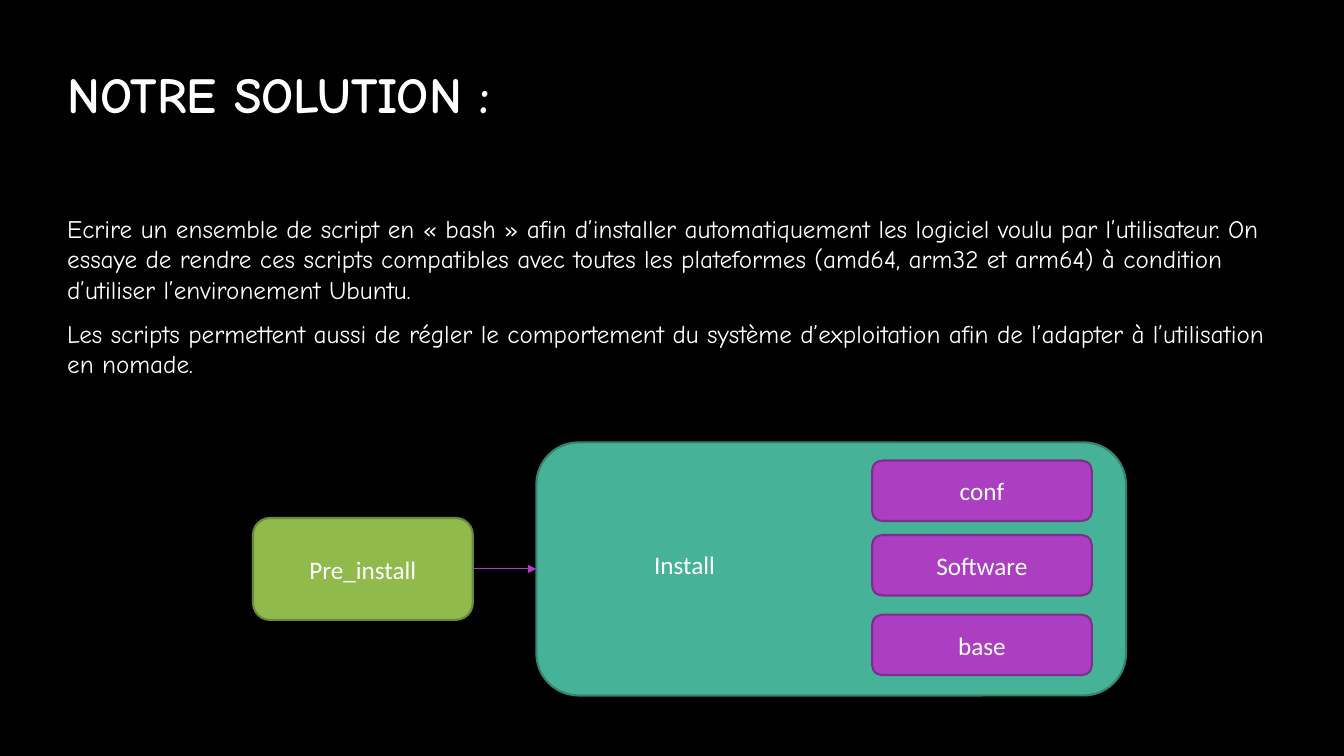
from lxml import etree
from pptx import Presentation
from pptx.dml.color import RGBColor
from pptx.enum.shapes import MSO_CONNECTOR, MSO_SHAPE
from pptx.enum.text import MSO_ANCHOR, MSO_AUTO_SIZE, PP_ALIGN
from pptx.oxml.ns import qn
from pptx.util import Pt

ROUNDED = MSO_SHAPE.ROUNDED_RECTANGLE
ELBOW = MSO_CONNECTOR.ELBOW
TOP, MIDDLE = MSO_ANCHOR.TOP, MSO_ANCHOR.MIDDLE
LEFT, CENTER = PP_ALIGN.LEFT, PP_ALIGN.CENTER
NO_AUTOFIT = MSO_AUTO_SIZE.NONE

BLACK, WHITE, PURPLE = "000000", "FFFFFF", "AC3EC1"
GREEN_BOX = ("90BA4C", "6B8A38")
TEAL_BOX = ("46B298", "348470")
PURPLE_BOX = (PURPLE, "7F2E8F")
HEADING = {"name": "Comic Neue", "size": Pt(36), "bold": True}
BODY = {"name": "Comic Neue", "size": Pt(18)}
LABEL = {"name": "Calibri", "size": Pt(18)}
NO_MARGINS = dict.fromkeys(
    ("margin_left", "margin_top", "margin_right", "margin_bottom"), 0)

TITLE = "NOTRE SOLUTION :"
EXPLANATION = [
    "Ecrire un ensemble de script en « bash » afin d’installer automatiquement "
    "les logiciel voulu par l’utilisateur. On essaye de rendre ces scripts "
    "compatibles avec toutes les plateformes (amd64, arm32 et arm64) à condition "
    "d’utiliser l’environement Ubuntu.",
    "Les scripts permettent aussi de régler le comportement du système "
    "d’exploitation afin de l’adapter à l’utilisation en nomade.",
]
# Each install step with its distance from the top of the install box
INSTALL_STEPS = [("conf", 13), ("Software", 66.2), ("base", 123.1)]


def color(hex_value):
    return RGBColor.from_string(hex_value)


def set_all(target, values):
    for name, value in values.items():
        setattr(target, name, value)


def write(frame, paragraphs, font, align=LEFT, space_after=0, **frame_format):
    set_all(frame, {"word_wrap": True, "auto_size": NO_AUTOFIT, **frame_format})
    for index, text in enumerate(paragraphs):
        paragraph = frame.add_paragraph() if index else frame.paragraphs[0]
        paragraph.text = text
        set_all(paragraph, {"alignment": align, "space_after": Pt(space_after)})
        set_all(paragraph.font, font)
        paragraph.font.color.rgb = color(WHITE)


def add_title(slide, left, top, width, height):
    title = slide.shapes.title
    set_all(title, {"left": Pt(left), "top": Pt(top),
                    "width": Pt(width), "height": Pt(height)})
    write(title.text_frame, [TITLE], HEADING, vertical_anchor=MIDDLE, **NO_MARGINS)


def add_text(slide, paragraphs, font, left, top, width, height, **text_format):
    box = slide.shapes.add_textbox(Pt(left), Pt(top), Pt(width), Pt(height))
    write(box.text_frame, paragraphs, font, **text_format)


def add_box(slide, colors, left, top, width, height, label=None):
    box = slide.shapes.add_shape(ROUNDED, Pt(left), Pt(top), Pt(width), Pt(height))
    fill, outline = colors
    box.shadow.inherit = False
    box.fill.solid()
    box.fill.fore_color.rgb = color(fill)
    box.line.color.rgb = color(outline)
    box.line.width = Pt(1.5)
    if label:
        write(box.text_frame, [label], LABEL, align=CENTER, vertical_anchor=MIDDLE)
    return box


def add_arrow(slide, source, target):
    """Join the right side of source to the left side of target."""
    arrow = slide.shapes.add_connector(ELBOW, 0, 0, 0, 0)
    arrow.begin_connect(source, 3)
    arrow.end_connect(target, 1)
    arrow.line.color.rgb = color(PURPLE)
    arrow.line.width = Pt(0.75)
    etree.SubElement(arrow.line._get_or_add_ln(), qn("a:tailEnd"), type="triangle")
    etree.SubElement(arrow._element.spPr, qn("a:effectLst"))


def add_install_flow(slide, left, top, width, height):
    step_width, step_height = 157, 43.2
    pre_height = 72.8
    install_left = left + 202.4
    install_width = width - 202.4
    pre_install = add_box(slide, GREEN_BOX, left, top + (height - pre_height) / 2,
                          step_width, pre_height, "Pre_install")
    install = add_box(slide, TEAL_BOX, install_left, top, install_width, height)
    step_left = left + width - 24.4 - step_width
    for step, offset in INSTALL_STEPS:
        add_box(slide, PURPLE_BOX, step_left, top + offset,
                step_width, step_height, step)
    add_arrow(slide, pre_install, install)
    add_text(slide, ["Install"], LABEL, install_left + 77, top + 72.8, 145.4, 29)


def main():
    deck = Presentation()
    deck.slide_width, deck.slide_height = Pt(960), Pt(540)
    slide = deck.slides.add_slide(deck.slide_layouts[5])
    slide.background.fill.solid()
    slide.background.fill.fore_color.rgb = color(BLACK)
    add_title(slide, 48, 21.6, 864, 90)
    add_text(slide, EXPLANATION, BODY, 48, 152.5, 864, 120,
             space_after=10, vertical_anchor=TOP, **NO_MARGINS)
    add_install_flow(slide, 180.7, 316, 623.6, 180.8)
    deck.save("out.pptx")


if __name__ == "__main__":
    main()
